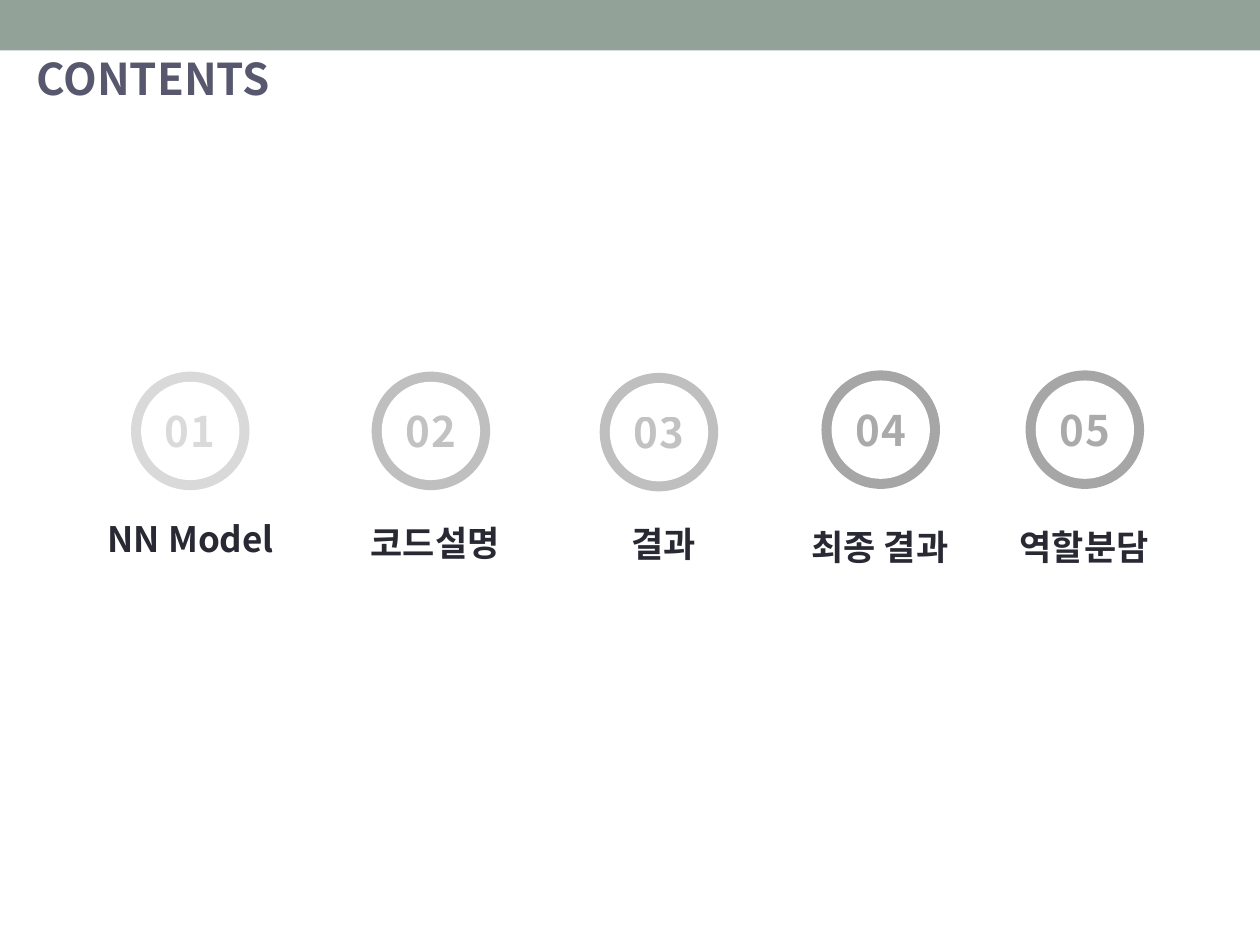
from lxml.etree import SubElement
from pptx import Presentation
from pptx.dml.color import RGBColor
from pptx.enum.shapes import MSO_SHAPE
from pptx.enum.text import MSO_ANCHOR, PP_ALIGN
from pptx.oxml.ns import qn
from pptx.util import Inches, Pt

HUES = {
    "bar": "93A299", "title": "57576E", "ink": "292934", "white": "FFFFFF",
    "light": "D9D9D9", "mid": "BFBFBF", "dark": "A6A6A6",
}
STEPS = [
    ("01", "NN Model", "light", 15.1, 34.2, 15.15, 40.6, 19.7),
    ("02", "코드설명", "mid", 34.2, 34.2, 34.55, 40.9, 17.3),
    ("03", "결과", "mid", 52.3, 34.3, 52.65, 41, 17.3),
    ("04", "최종 결과", "dark", 69.9, 34.1, 69.85, 41.2, 17.3),
    ("05", "역할분담", "dark", 86.1, 34.1, 86.05, 41.2, 17.3),
]


class Deck:
    face = "Noto Sans CJK KR"
    cols, rows = 100, 75

    def __init__(self):
        self.prs = Presentation()
        self.prs.slide_width = Inches(10)
        self.prs.slide_height = Inches(7.5)
        self.slide = self.prs.slides.add_slide(self.prs.slide_layouts[5])

    def box(self, x, y, w, h):
        dx = self.prs.slide_width / self.cols
        dy = self.prs.slide_height / self.rows
        return round(x * dx), round(y * dy), round(w * dx), round(h * dy)

    def style(self, frame, text, size, hue, align):
        para = frame.paragraphs[0]
        para.text = text
        para.alignment = align
        font = para.font
        font.size = Pt(size)
        font.bold = True
        font.color.rgb = RGBColor.from_string(HUES[hue])
        font.name = self.face
        props = para._p.pPr.find(qn("a:defRPr"))
        SubElement(props, qn("a:ea")).set("typeface", self.face)
        return props

    def title(self, text, *area):
        head = self.slide.shapes.title
        head.left, head.top, head.width, head.height = self.box(*area)
        head.text_frame.vertical_anchor = MSO_ANCHOR.TOP
        self.style(head.text_frame, text, 25, "title", PP_ALIGN.LEFT)

    def shape(self, home, kind, hue, *area):
        item = home.add_shape(kind, *self.box(*area))
        item.shadow.inherit = False
        item.fill.solid()
        item.fill.fore_color.rgb = RGBColor.from_string(HUES[hue])
        item.line.fill.background()

    def bar(self, *area):
        self.shape(self.slide.shapes, MSO_SHAPE.RECTANGLE, "bar", *area)

    def disc(self, home, hue, x, y, size):
        self.shape(home, MSO_SHAPE.OVAL, hue, x - size / 2, y - size / 2, size, size)

    def label(self, home, text, size, hue, x, y, w, h):
        item = home.add_textbox(*self.box(x - w / 2, y, w, h))
        item.text_frame.word_wrap = True
        return self.style(item.text_frame, text, size, hue, PP_ALIGN.CENTER)

    def step(self, num, name, hue, x, y, mid, top, width):
        home = self.slide.shapes.add_group_shape().shapes
        self.disc(home, hue, x, y, 9.4)
        self.disc(home, "white", x, y, 7.8)
        props = self.label(home, num, 24, hue, x, y - 2.5, 7, 5)
        props.set("spc", "50")
        tint = props.find(qn("a:solidFill"))[0]
        SubElement(tint, qn("a:alpha")).set("val", "95000")
        self.label(home, name, 20, "ink", mid, top, width, 4.4)


def main():
    deck = Deck()
    deck.bar(0, 0, 100, 4)
    deck.title("CONTENTS", 1.9, 3.6, 25.6, 5.2)
    for step in STEPS:
        deck.step(*step)
    deck.prs.save("out.pptx")


if __name__ == "__main__":
    main()
